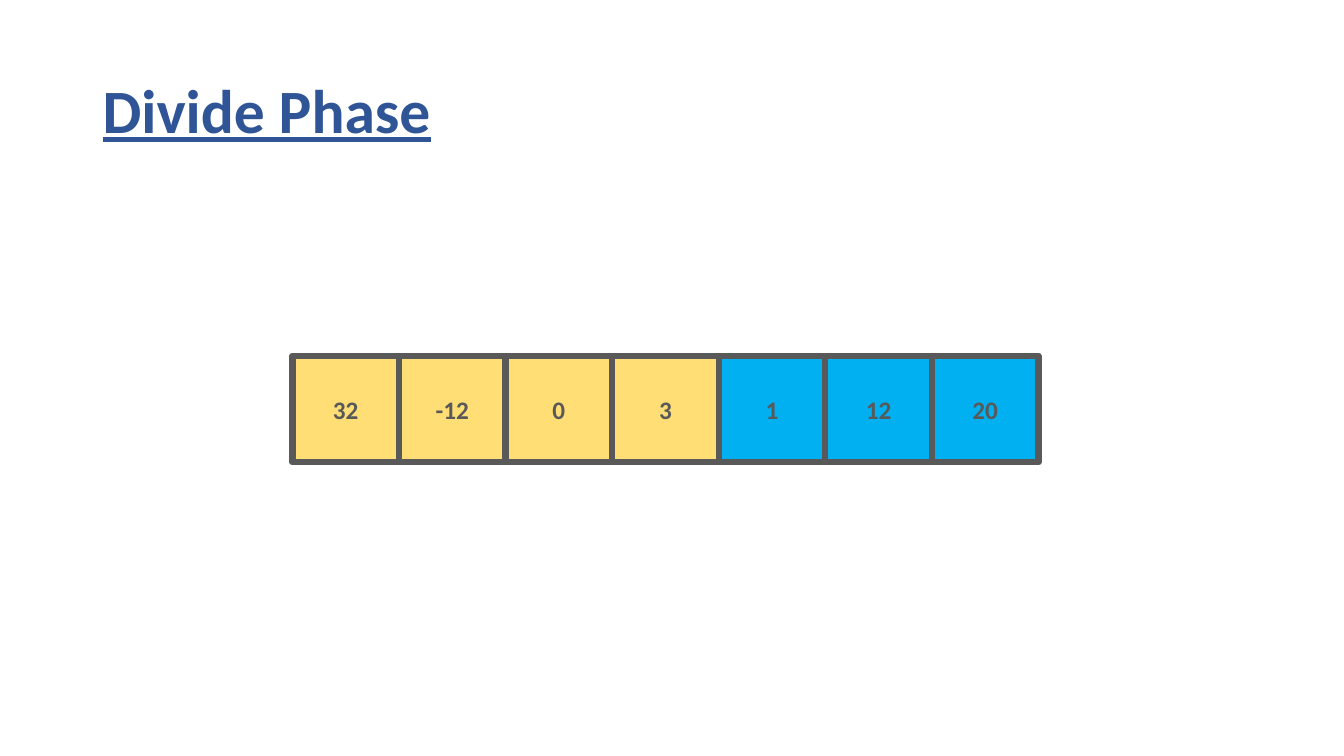
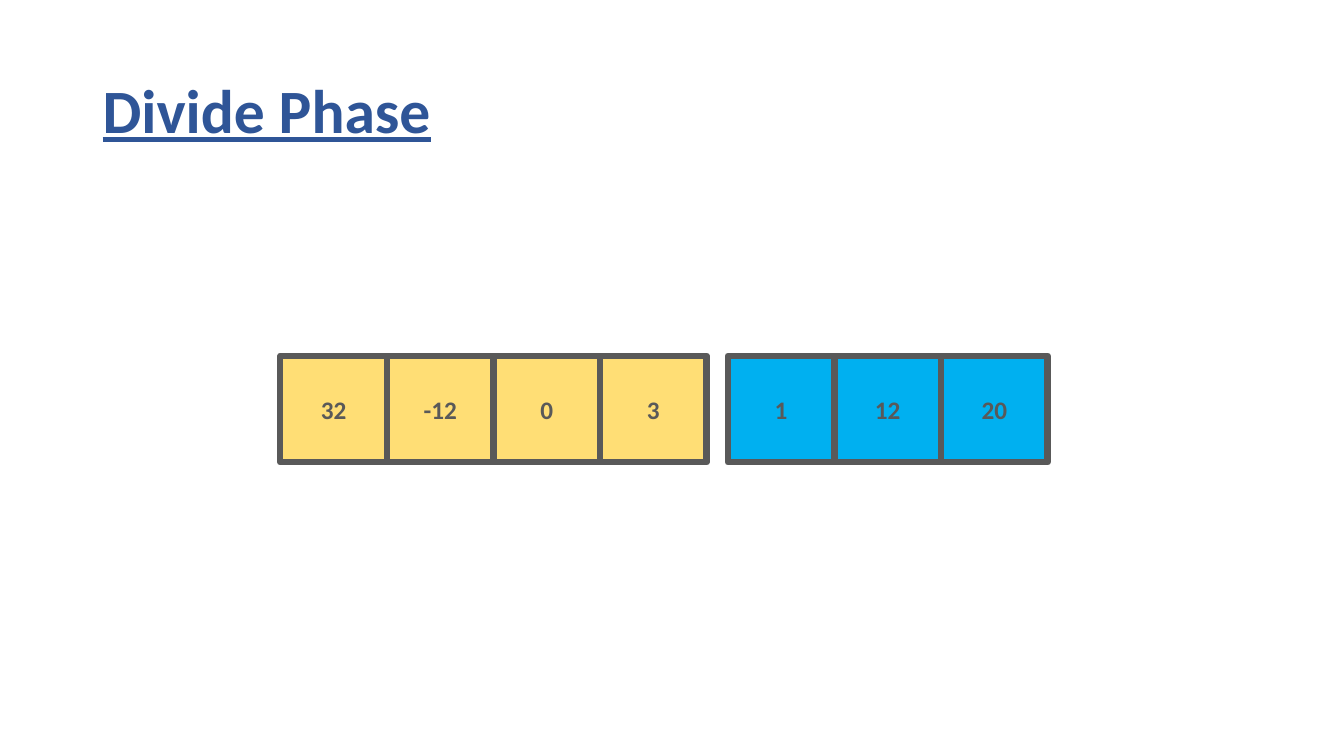
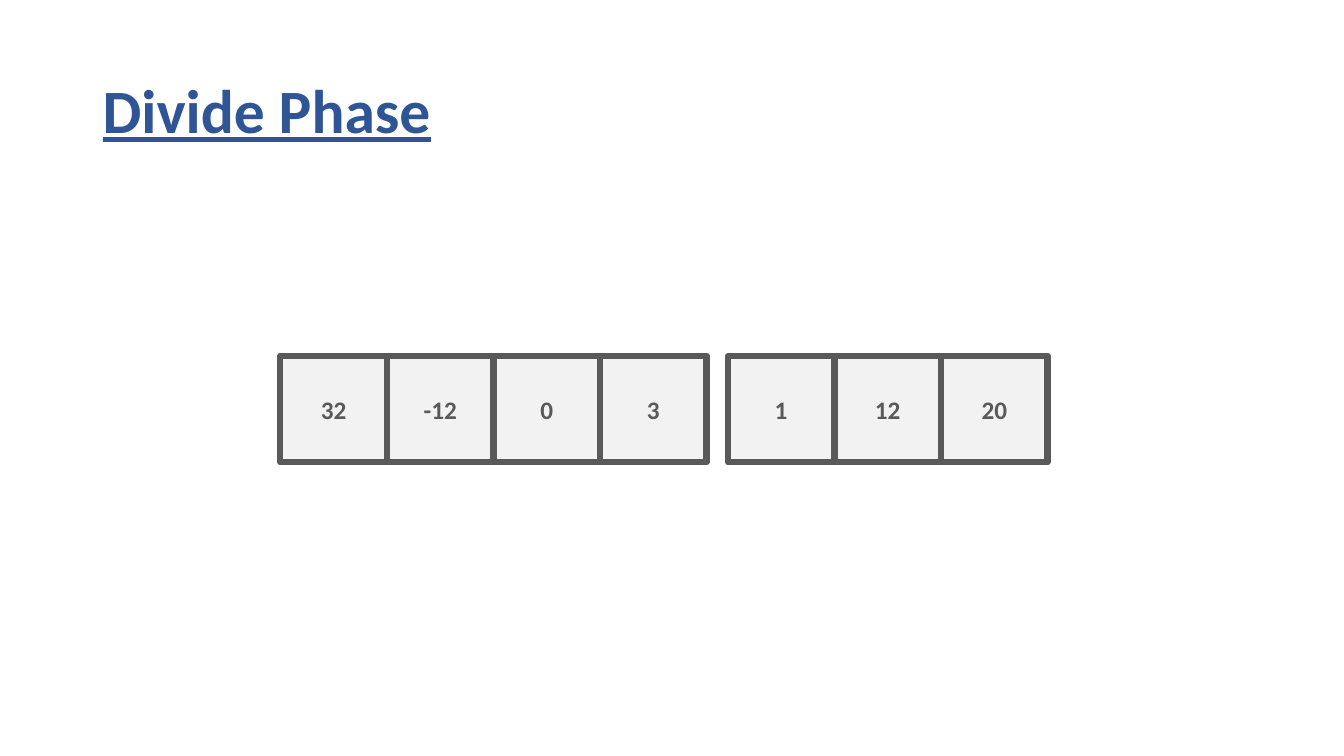
from dataclasses import dataclass

from pptx import Presentation
from pptx.dml.color import RGBColor
from pptx.enum.shapes import MSO_SHAPE
from pptx.enum.text import MSO_ANCHOR, PP_ALIGN
from pptx.util import Inches, Pt


@dataclass(frozen=True)
class Theme:
    """Colours, font and type sizes shared by all slides."""
    font: str = "Calibri"
    title_color: RGBColor = RGBColor(0x2F, 0x55, 0x97)
    ink: RGBColor = RGBColor(0x59, 0x59, 0x59)
    yellow: RGBColor = RGBColor(0xFF, 0xDE, 0x75)
    blue: RGBColor = RGBColor(0x00, 0xB0, 0xF0)
    grey: RGBColor = RGBColor(0xF2, 0xF2, 0xF2)
    title_size: Pt = Pt(44)
    value_size: Pt = Pt(18)
    border: Pt = Pt(4.5)


THEME = Theme()
LEFT_HALF = (32, -12, 0, 3)
RIGHT_HALF = (1, 12, 20)
CELL = Inches(7.4) // len(LEFT_HALF + RIGHT_HALF)
ARRAY_TOP = Inches(3.53)


def write(paragraph, text, size, color):
    """Add a bold run in the theme font and return its font."""
    run = paragraph.add_run()
    run.text = text
    font = run.font
    font.name, font.size, font.bold = THEME.font, size, True
    font.color.rgb = color
    return font


def add_title(slide, text):
    """Add the underlined slide title."""
    box = slide.shapes.add_textbox(Inches(0.92), Inches(0.4), Inches(11.5), Inches(1.45))
    frame = box.text_frame
    frame.word_wrap = True
    frame.vertical_anchor = MSO_ANCHOR.MIDDLE
    paragraph = frame.paragraphs[0]
    paragraph.line_spacing = 0.9
    write(paragraph, text, THEME.title_size, THEME.title_color).underline = True


def add_cell(slide, left, value, fill):
    """Add one bordered array cell with its value."""
    cell = slide.shapes.add_shape(MSO_SHAPE.RECTANGLE, left, ARRAY_TOP, CELL, CELL)
    cell.shadow.inherit = False
    cell.fill.solid()
    cell.fill.fore_color.rgb = fill
    cell.line.color.rgb = THEME.ink
    cell.line.width = THEME.border
    cell.text_frame.vertical_anchor = MSO_ANCHOR.MIDDLE
    paragraph = cell.text_frame.paragraphs[0]
    paragraph.alignment = PP_ALIGN.CENTER
    write(paragraph, str(value), THEME.value_size, THEME.ink)


def add_array(slide, left, values, fill):
    """Add adjoining cells and return the right edge of the last one."""
    for index, value in enumerate(values):
        add_cell(slide, left + index * CELL, value, fill)
    return left + len(values) * CELL


def add_divide_slide(prs, left, gap, left_fill, right_fill):
    """Add a slide showing both halves of the array, set apart by gap."""
    slide = prs.slides.add_slide(prs.slide_layouts[6])
    add_title(slide, "Divide Phase")
    edge = add_array(slide, left, LEFT_HALF, left_fill)
    add_array(slide, edge + gap, RIGHT_HALF, right_fill)


def main():
    """Build the three steps of the divide phase."""
    prs = Presentation()
    prs.slide_width, prs.slide_height = Inches(13.33), Inches(7.5)
    joined = Inches(2.9), Inches(0)
    split = Inches(2.78), Inches(0.21)
    add_divide_slide(prs, *joined, THEME.yellow, THEME.blue)
    add_divide_slide(prs, *split, THEME.yellow, THEME.blue)
    add_divide_slide(prs, *split, THEME.grey, THEME.grey)
    prs.save("out.pptx")


main()
